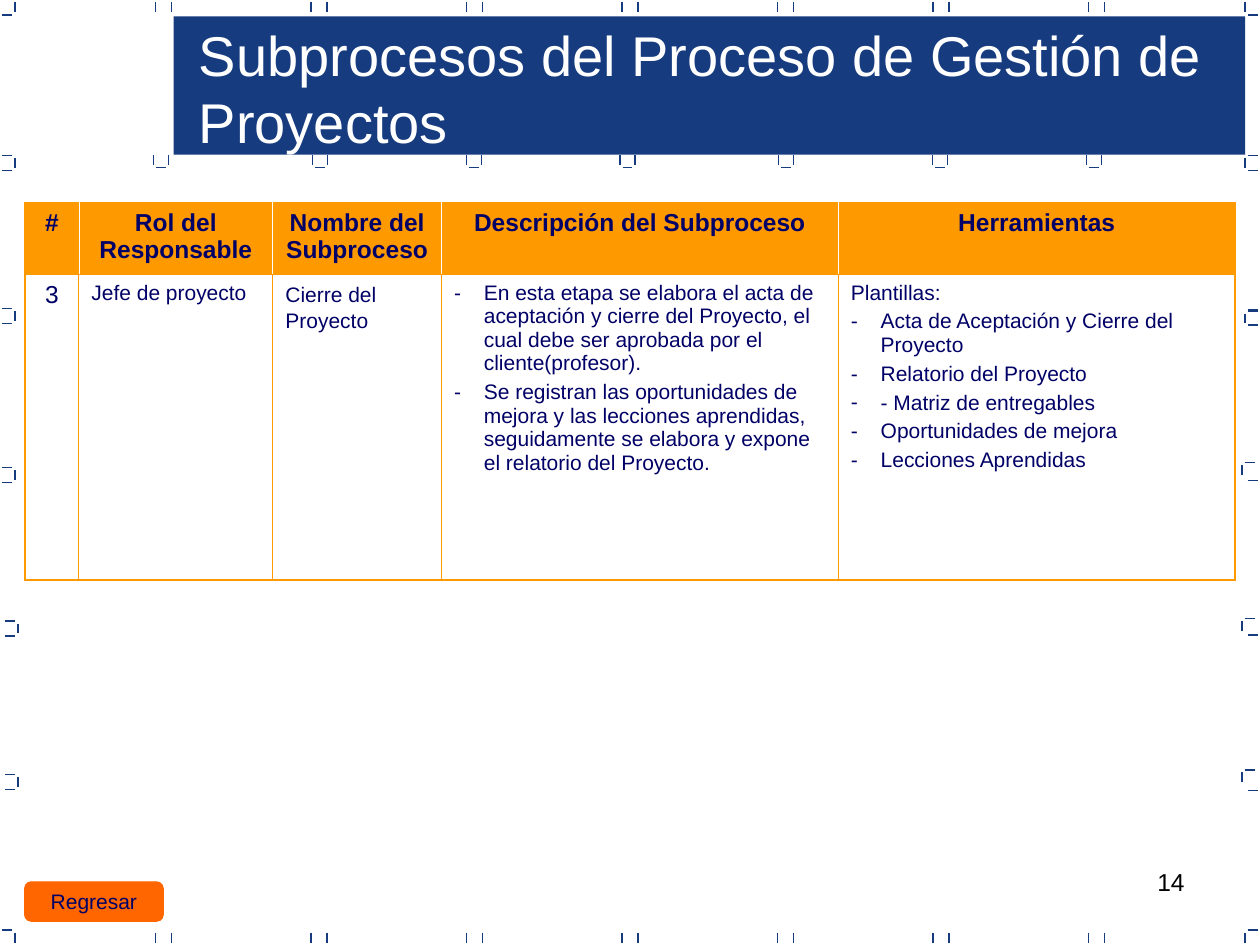
from lxml import etree
from pptx import Presentation
from pptx.dml.color import RGBColor
from pptx.enum.shapes import MSO_CONNECTOR, MSO_SHAPE
from pptx.enum.text import MSO_ANCHOR, PP_ALIGN
from pptx.oxml.ns import qn
from pptx.util import Cm, Pt

STRAIGHT = MSO_CONNECTOR.STRAIGHT
RECTANGLE = MSO_SHAPE.RECTANGLE
BUTTON = MSO_SHAPE.FLOWCHART_ALTERNATE_PROCESS
LEFT, CENTER, RIGHT = PP_ALIGN.LEFT, PP_ALIGN.CENTER, PP_ALIGN.RIGHT
MIDDLE = MSO_ANCHOR.MIDDLE

COLORS = {
    "blue": "163B7F",
    "navy": "000066",
    "amber": "FF9900",
    "orange": "FF6600",
    "white": "FFFFFF",
    "black": "000000",
}


def rgb(name):
    return RGBColor.from_string(COLORS[name])


def write(paragraph, text, size, color, align=LEFT, bold=False):
    paragraph.alignment = align
    run = paragraph.add_run()
    run.text = text
    run.font.name = "Arial"
    run.font.size = Pt(size)
    run.font.bold = bold
    run.font.color.rgb = rgb(color)


prs = Presentation()
prs.slide_width, prs.slide_height = Cm(25.4), Cm(19.05)
slide = prs.slides.add_slide(prs.slide_layouts[6])
shapes = slide.shapes

# Frame marks, in cm: (x, y) starts of short vertical and horizontal strokes
MARK, GAP = 0.2, 0.05
verticals = [(x, y) for x in (0.3, 25.1) for y in (0.05, 18.8)]
horizontals = [(x, y) for x in (0.05, 25.15) for y in (0.3, 18.75)]
for i in range(1, 8):
    verticals += [(3.135 * i + dx, y) for dx in (0, 0.32) for y in (0.05, 18.8)]
for x in (3.1, 6.3, 9.4, 12.5, 15.7, 18.8, 21.9):
    verticals += [(x, 3.12), (x + 0.3, 3.12)]
    horizontals.append((x + GAP, 3.38))
for x, y in ((0.3, 3.18), (0.3, 6.27), (0.3, 9.47), (0.36, 12.57), (0.36, 15.67)):
    verticals.append((x, y))
    horizontals += [(x - MARK - GAP, y - GAP), (x - MARK - GAP, y + MARK + GAP)]
for x, y in ((25.1, 3.18), (25.1, 6.32), (25.04, 9.37), (25.04, 12.52), (25.04, 15.57)):
    verticals.append((x, y))
    horizontals.append((x + GAP, y - GAP))
horizontals += [(25.15, y) for y in (3.43, 6.25, 6.55, 9.68, 12.8, 15.93)]

for starts, dx, dy in ((verticals, 0, MARK), (horizontals, MARK, 0)):
    for x, y in starts:
        mark = shapes.add_connector(STRAIGHT, Cm(x), Cm(y), Cm(x + dx), Cm(y + dy))
        mark.line.color.rgb = rgb("blue")
        mark.line.width = Pt(0.75)
        etree.SubElement(mark._element.spPr, qn("a:effectLst"))

banner = shapes.add_shape(RECTANGLE, Cm(3.5), Cm(0.33), Cm(21.6), Cm(2.79))
banner.shadow.inherit = False
banner.fill.solid()
banner.fill.fore_color.rgb = rgb("blue")
banner.line.fill.background()

for text, left, top, width, height, size, color, align in (
    ("Subprocesos del Proceso de Gestión de Proyectos",
     3.76, 0.28, 21.13, 2.97, 32, "white", LEFT),
    ("14", 18.21, 17.35, 5.92, 1.32, 14, "black", RIGHT),
):
    box = shapes.add_textbox(Cm(left), Cm(top), Cm(width), Cm(height))
    box.text_frame.word_wrap = True
    write(box.text_frame.paragraphs[0], text, size, color, align)

# Table: a paragraph starting with the bullet flag True is a dash item
headers = ["#", "Rol del Responsable", "Nombre del Subproceso",
           "Descripción del Subproceso", "Herramientas"]
details = [
    [(False, "3")],
    [(False, "Jefe de proyecto")],
    [(False, "Cierre del Proyecto")],
    [(True, "En esta etapa se elabora el acta de aceptación y cierre del Proyecto, "
            "el cual debe ser aprobada por el cliente(profesor)."),
     (True, "Se registran las oportunidades de mejora y las lecciones aprendidas, "
            "seguidamente se elabora y expone el relatorio del Proyecto.")],
    [(False, "Plantillas:"),
     (True, "Acta de Aceptación y Cierre del Proyecto"),
     (True, "Relatorio del Proyecto"),
     (True, "- Matriz de entregables"),
     (True, "Oportunidades de mejora"),
     (True, "Lecciones Aprendidas")],
]
rows = [[[(False, header)] for header in headers], details]
widths, heights = (1.09, 3.91, 3.4, 8, 8), (1.45, 6.15)
table = shapes.add_table(len(rows), len(headers), Cm(0.5), Cm(4.09),
                         Cm(sum(widths)), Cm(sum(heights))).table
table.horz_banding = False
for column, width in zip(table.columns, widths):
    column.width = Cm(width)
for row, height in zip(table.rows, heights):
    row.height = Cm(height)

last = len(headers) - 1
for r, row in enumerate(rows):
    inner = ("amber", 0.75) if r else ("white", 0.45)
    outer, divider = ("amber", 1.08), ("amber", 0.75)
    for c, items in enumerate(row):
        cell = table.cell(r, c)
        borders = {
            "a:lnL": inner if c else outer,
            "a:lnR": inner if c < last else outer,
            "a:lnT": divider if r else outer,
            "a:lnB": outer if r else divider,
        }
        tc_pr = cell._tc.get_or_add_tcPr()
        for side, (color, points) in borders.items():
            border = etree.SubElement(tc_pr, qn(side), w=str(Pt(points)))
            paint = etree.SubElement(border, qn("a:solidFill"))
            etree.SubElement(paint, qn("a:srgbClr"), val=COLORS[color])
        if r:
            cell.fill.background()
        else:
            cell.fill.solid()
            cell.fill.fore_color.rgb = rgb("amber")

        for i, (dashed, text) in enumerate(items):
            paragraph = cell.text_frame.paragraphs[0] if i == 0 else cell.text_frame.add_paragraph()
            if dashed:
                p_pr = paragraph._p.get_or_add_pPr()
                p_pr.set("marL", str(Cm(0.6)))
                p_pr.set("indent", str(-Cm(0.6)))
                etree.SubElement(p_pr, qn("a:buFont"), typeface="Arial")
                etree.SubElement(p_pr, qn("a:buChar"), char="-")
            if i:
                paragraph.space_before = Pt(3)
            if r and c == 2:
                paragraph.line_spacing = 1.1
            write(paragraph, text, 12 if r and c else 14, "navy",
                  LEFT if r and c else CENTER, bold=r == 0)

back_button = shapes.add_shape(BUTTON, Cm(0.5), Cm(17.78), Cm(2.79), Cm(0.79))
back_button.shadow.inherit = False
back_button.fill.solid()
back_button.fill.fore_color.rgb = rgb("orange")
back_button.line.color.rgb = rgb("orange")
back_button.line.width = Pt(0.75)
back_button.text_frame.word_wrap = False
back_button.text_frame.vertical_anchor = MIDDLE
write(back_button.text_frame.paragraphs[0], "Regresar", 12, "navy", CENTER)

prs.save("out.pptx")
